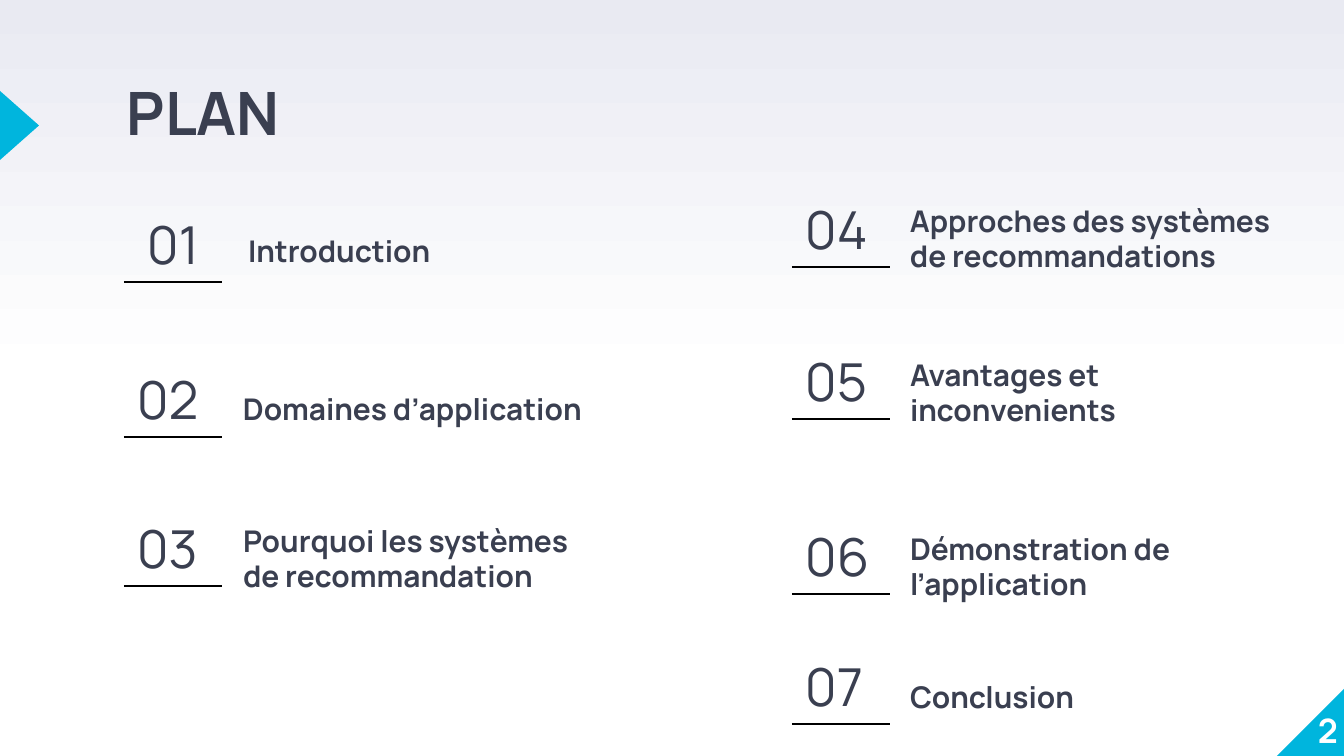
import dataclasses

import lxml.etree
import pptx
import pptx.dml.color
import pptx.enum.shapes
import pptx.enum.text
import pptx.oxml.ns
import pptx.util

SHAPE = pptx.enum.shapes.MSO_SHAPE
ALIGN = pptx.enum.text.PP_ALIGN
ANCHOR = pptx.enum.text.MSO_ANCHOR
EMU_PER_PX = 914400 / 134.4


@dataclasses.dataclass(frozen=True)
class Theme:
    font: str = "Manrope"
    ink: str = "3A3F50"
    accent: str = "00B5DD"
    white: str = "FFFFFF"
    haze: str = "E9EAF2"
    rule: str = "000000"
    title_size: int = 32
    number_size: int = 28
    label_size: int = 16
    page_size: int = 18
    rule_width: float = 0.75
    inset: int = 13


@dataclasses.dataclass(frozen=True)
class Entry:
    label: str
    rule_top: int
    label_left: int
    label_middle: int
    label_width: int = 388
    number_align: int = ALIGN.LEFT


COLUMNS = {
    124: [
        Entry("Introduction", 282, 235, 251, number_align=ALIGN.CENTER),
        Entry("Domaines d’application", 437, 230, 409, 423),
        Entry("Pourquoi les systèmes de recommandation", 586, 230, 558),
    ],
    792: [
        Entry("Approches des systèmes de recommandations", 267, 897, 238, 423),
        Entry("Avantages et inconvenients", 419, 897, 392),
        Entry("Démonstration de l’application", 594, 897, 566),
        Entry("Conclusion", 724, 897, 697),
    ],
}
NUMBER_WIDTH = 98
NUMBER_HEIGHT = 52
NUMBER_RISE = 38
LABEL_HEIGHT = 110


def px(value):
    return pptx.util.Emu(round(value * EMU_PER_PX))


def rgb(value):
    return pptx.dml.color.RGBColor.from_string(value)


class SlideBuilder:
    def __init__(self, slide, theme):
        self.slide = slide
        self.theme = theme

    def background(self):
        fill = self.slide.background.fill
        fill.gradient()
        fill.gradient_angle = 90
        stops = [(0.5, self.theme.white), (1, self.theme.haze)]
        for stop, (position, color) in zip(fill.gradient_stops, stops):
            stop.position = position
            stop.color.rgb = rgb(color)

    def triangle(self, kind, left, top, width, height, rotation):
        shape = self.slide.shapes.add_shape(kind, px(left), px(top), px(width), px(height))
        shape.rotation = rotation
        shape.shadow.inherit = False
        shape.fill.solid()
        shape.fill.fore_color.rgb = rgb(self.theme.accent)
        shape.line.fill.background()

    def rule(self, left, top, width):
        connector = self.slide.shapes.add_connector(
            pptx.enum.shapes.MSO_CONNECTOR.STRAIGHT, px(left), px(top), px(left + width), px(top)
        )
        connector.line.color.rgb = rgb(self.theme.rule)
        connector.line.width = pptx.util.Pt(self.theme.rule_width)
        properties = connector.element.find(pptx.oxml.ns.qn("p:spPr"))
        lxml.etree.SubElement(properties, pptx.oxml.ns.qn("a:effectLst"))

    def text(self, text, *, left, top, width, height, size, color=None, bold=False,
             align=ALIGN.LEFT, anchor=ANCHOR.MIDDLE, inset=None, line_spacing=None):
        box = self.slide.shapes.add_textbox(px(left), px(top), px(width), px(height))
        frame = box.text_frame
        frame.word_wrap = True
        frame.vertical_anchor = anchor
        margin = px(self.theme.inset if inset is None else inset)
        frame.margin_left = frame.margin_right = margin
        frame.margin_top = frame.margin_bottom = margin
        paragraph = frame.paragraphs[0]
        paragraph.alignment = align
        paragraph.line_spacing = line_spacing
        run = paragraph.add_run()
        run.text = text
        run.font.name = self.theme.font
        run.font.size = pptx.util.Pt(size)
        run.font.bold = bold
        run.font.color.rgb = rgb(color or self.theme.ink)

    def entry(self, number, left, entry):
        self.text(f"{number:02}", left=left,
                  top=entry.rule_top - NUMBER_RISE - NUMBER_HEIGHT // 2,
                  width=NUMBER_WIDTH, height=NUMBER_HEIGHT,
                  size=self.theme.number_size, align=entry.number_align)
        self.rule(left, entry.rule_top, NUMBER_WIDTH)
        self.text(entry.label, left=entry.label_left,
                  top=entry.label_middle - LABEL_HEIGHT // 2,
                  width=entry.label_width, height=LABEL_HEIGHT,
                  size=self.theme.label_size, bold=True)


def main():
    presentation = pptx.Presentation()
    presentation.slide_width = px(1344)
    presentation.slide_height = px(756)
    theme = Theme()
    builder = SlideBuilder(presentation.slides.add_slide(presentation.slide_layouts[6]), theme)

    builder.background()
    builder.triangle(SHAPE.RIGHT_TRIANGLE, 1277, 687, 69, 69, rotation=270)
    builder.triangle(SHAPE.ISOSCELES_TRIANGLE, -15, 106, 69, 39, rotation=90)
    builder.text("2", left=1271, top=681, width=67, height=69, size=theme.page_size,
                 color=theme.white, bold=True, align=ALIGN.RIGHT, anchor=ANCHOR.BOTTOM, inset=0)
    builder.text("PLAN", left=114, top=77, width=1133, height=85, size=theme.title_size,
                 bold=True, anchor=ANCHOR.TOP, line_spacing=0.8)

    number = 0
    for left, entries in COLUMNS.items():
        for entry in entries:
            number += 1
            builder.entry(number, left, entry)

    presentation.save("out.pptx")


if __name__ == "__main__":
    main()
